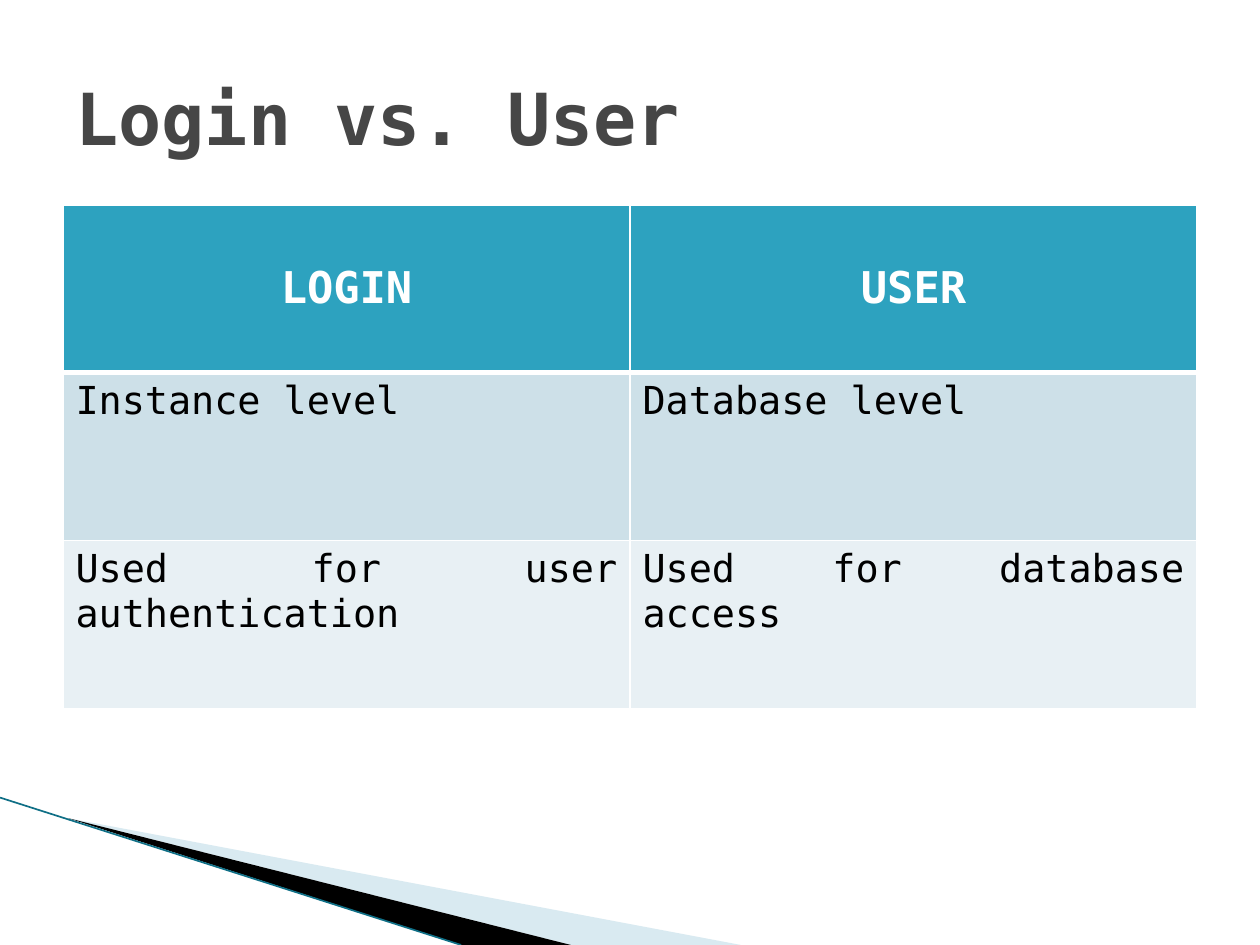
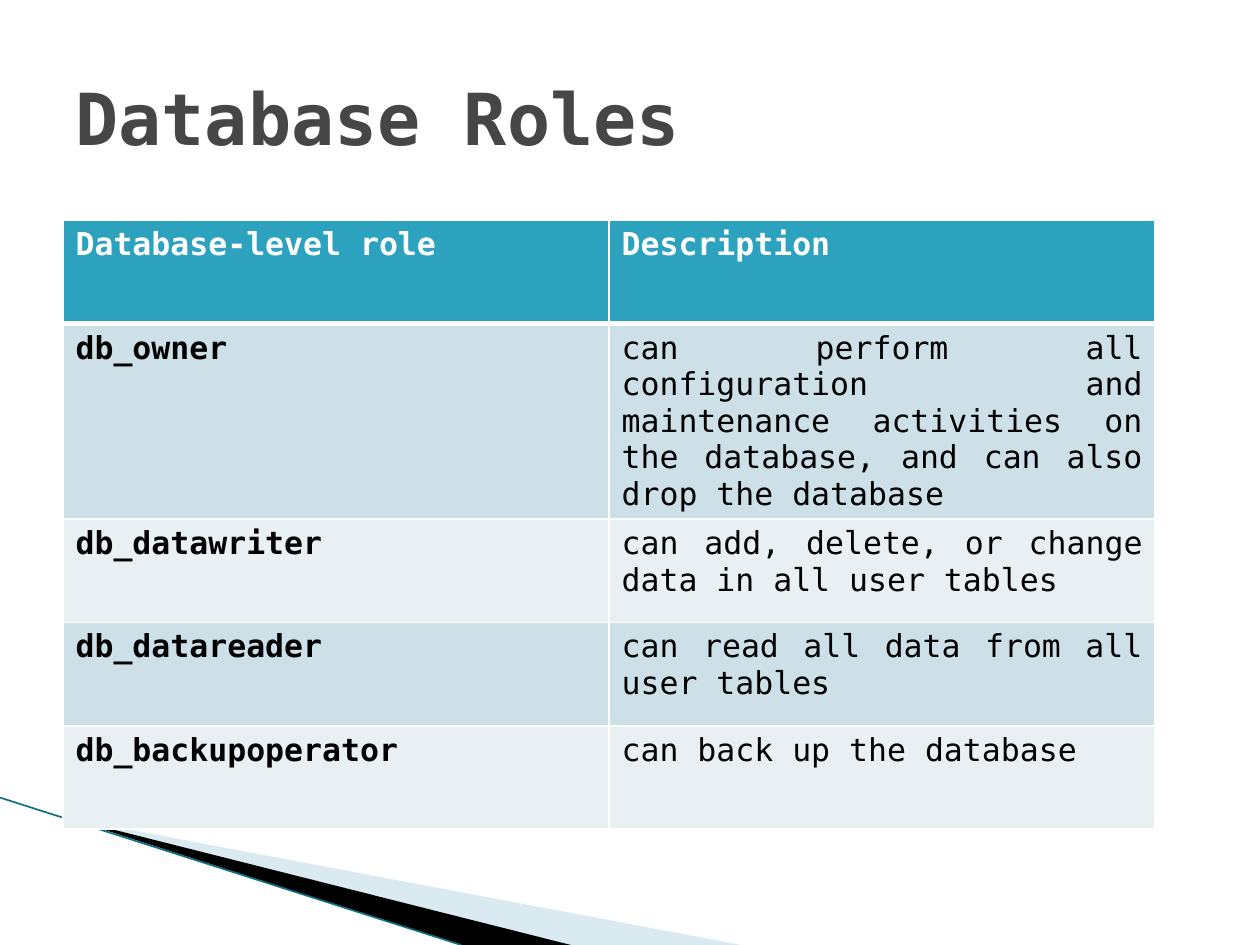
from dataclasses import dataclass

from lxml.etree import SubElement
from pptx import Presentation
from pptx.dml.color import RGBColor
from pptx.enum.shapes import MSO_CONNECTOR
from pptx.enum.text import MSO_ANCHOR, PP_ALIGN
from pptx.oxml.ns import qn
from pptx.util import Inches, Pt


@dataclass(frozen=True)
class Theme:
    font: str = "DejaVu Sans Mono"
    title: str = "464646"
    header: str = "2DA2BF"
    bands: tuple = ("CDE0E8", "E8F0F4")
    white: str = "FFFFFF"
    black: str = "000000"
    wedge_tint: str = "A0CBDC"
    wedge_alpha: int = 40
    wedge_edge: str = "0F6F86"
    title_size: int = 41
    rule: float = 1
    header_rule: float = 3
    edge_rule: float = 0.95


THEME = Theme()
COLUMNS, ROWS = 40, 30
CELL = Inches(0.25)


@dataclass(frozen=True)
class Box:
    """An area of the slide, in grid columns and rows."""
    left: float
    top: float
    width: float
    height: float

    def emu(self):
        return [round(v * CELL) for v in (self.left, self.top, self.width, self.height)]

    def point(self, across, down):
        left, top, width, height = self.emu()
        return round(left + across * width), round(top + down * height)


TITLE_BOX = Box(2, 1.2, 36, 5)
CORNER_BOX = Box(0, 25.32, 24, 4.68)


def rgb(code):
    return RGBColor.from_string(code)


def write(frame, text, *, size, color=THEME.black, bold=False,
          align=PP_ALIGN.LEFT, anchor=MSO_ANCHOR.TOP):
    frame.word_wrap = True
    frame.vertical_anchor = anchor
    paragraph = frame.paragraphs[0]
    paragraph.alignment = align
    run = paragraph.add_run()
    run.text = text
    run.font.name = THEME.font
    run.font.size = Pt(size)
    run.font.bold = bold
    run.font.color.rgb = rgb(color)


def add_title(slide, text, box):
    frame = slide.shapes.add_textbox(*box.emu()).text_frame
    write(frame, text, size=THEME.title_size, color=THEME.title, bold=True,
          anchor=MSO_ANCHOR.MIDDLE)


def add_wedge(slide, box, corners, color, alpha=None):
    start, *others = [box.point(*corner) for corner in corners]
    builder = slide.shapes.build_freeform(*start)
    builder.add_line_segments(others, close=True)
    wedge = builder.convert_to_shape()
    wedge.shadow.inherit = False
    wedge.line.fill.background()
    wedge.fill.solid()
    wedge.fill.fore_color.rgb = rgb(color)
    if alpha is not None:
        tint = wedge.fill._xPr.find(qn("a:solidFill"))[0]
        SubElement(tint, qn("a:alpha"), val=str(alpha * 1000))


def add_corner(slide, box):
    # Pale and black wedges meet along one edge
    tip, seam = (0.09, 0.14), (0.755, 1)
    add_wedge(slide, box, [tip, (0.98, 1), seam], THEME.wedge_tint, THEME.wedge_alpha)
    add_wedge(slide, box, [tip, seam, (0.61, 1)], THEME.black)
    # Thin line along the outer edge
    edge = slide.shapes.add_connector(
        MSO_CONNECTOR.STRAIGHT, *box.point(0, 0), *box.point(0.61, 1))
    edge.line.color.rgb = rgb(THEME.wedge_edge)
    edge.line.width = Pt(THEME.edge_rule)
    SubElement(edge._element.spPr, qn("a:effectLst"))


def add_borders(cell, above, below):
    properties = cell._tc.get_or_add_tcPr()
    widths = {"L": THEME.rule, "R": THEME.rule, "T": above, "B": below}
    for side, width in widths.items():
        border = SubElement(properties, qn(f"a:ln{side}"), w=str(Pt(width)))
        fill = SubElement(border, qn("a:solidFill"))
        SubElement(fill, qn("a:srgbClr"), val=THEME.white)


def add_comparison(slide, box, rows, *, size, header_format, bold_first=False):
    table = slide.shapes.add_table(len(rows), len(rows[0]), *box.emu()).table
    for r, row in enumerate(rows):
        for c, text in enumerate(row):
            cell = table.cell(r, c)
            add_borders(cell,
                        THEME.header_rule if r == 1 else THEME.rule,
                        THEME.header_rule if r == 0 else THEME.rule)
            cell.fill.solid()
            cell.fill.fore_color.rgb = rgb(THEME.bands[(r - 1) % 2] if r else THEME.header)
            style = {"size": size, "align": PP_ALIGN.JUSTIFY,
                     "bold": bold_first and c == 0}
            if r == 0:
                style |= {"color": THEME.white, "bold": True} | header_format
            anchor = style.pop("anchor", MSO_ANCHOR.TOP)
            write(cell.text_frame, text, **style)
            cell.vertical_anchor = anchor


def add_table_slide(deck, title, box, rows, **table_format):
    slide = deck.slides.add_slide(deck.slide_layouts[6])
    add_corner(slide, CORNER_BOX)
    add_comparison(slide, box, rows, **table_format)
    add_title(slide, title, TITLE_BOX)


def main():
    deck = Presentation()
    deck.slide_width, deck.slide_height = COLUMNS * CELL, ROWS * CELL

    # Login compared with user
    add_table_slide(
        deck, "Login vs. User", Box(2, 6.5, 36, 16),
        [("LOGIN", "USER"),
         ("Instance level", "Database level"),
         ("Used for user authentication", "Used for database access")],
        size=22,
        header_format={"size": 25, "align": PP_ALIGN.CENTER, "anchor": MSO_ANCHOR.MIDDLE})

    # Roles and what they allow
    add_table_slide(
        deck, "Database Roles", Box(2, 7, 34.67, 16.4),
        [("Database-level role", "Description"),
         ("db_owner", "can perform all configuration and maintenance activities "
                      "on the database, and can also drop the database"),
         ("db_datawriter", "can add, delete, or change data in all user tables"),
         ("db_datareader", "can read all data from all user tables"),
         ("db_backupoperator", "can back up the database")],
        size=18, header_format={}, bold_first=True)

    deck.save("out.pptx")


if __name__ == "__main__":
    main()
